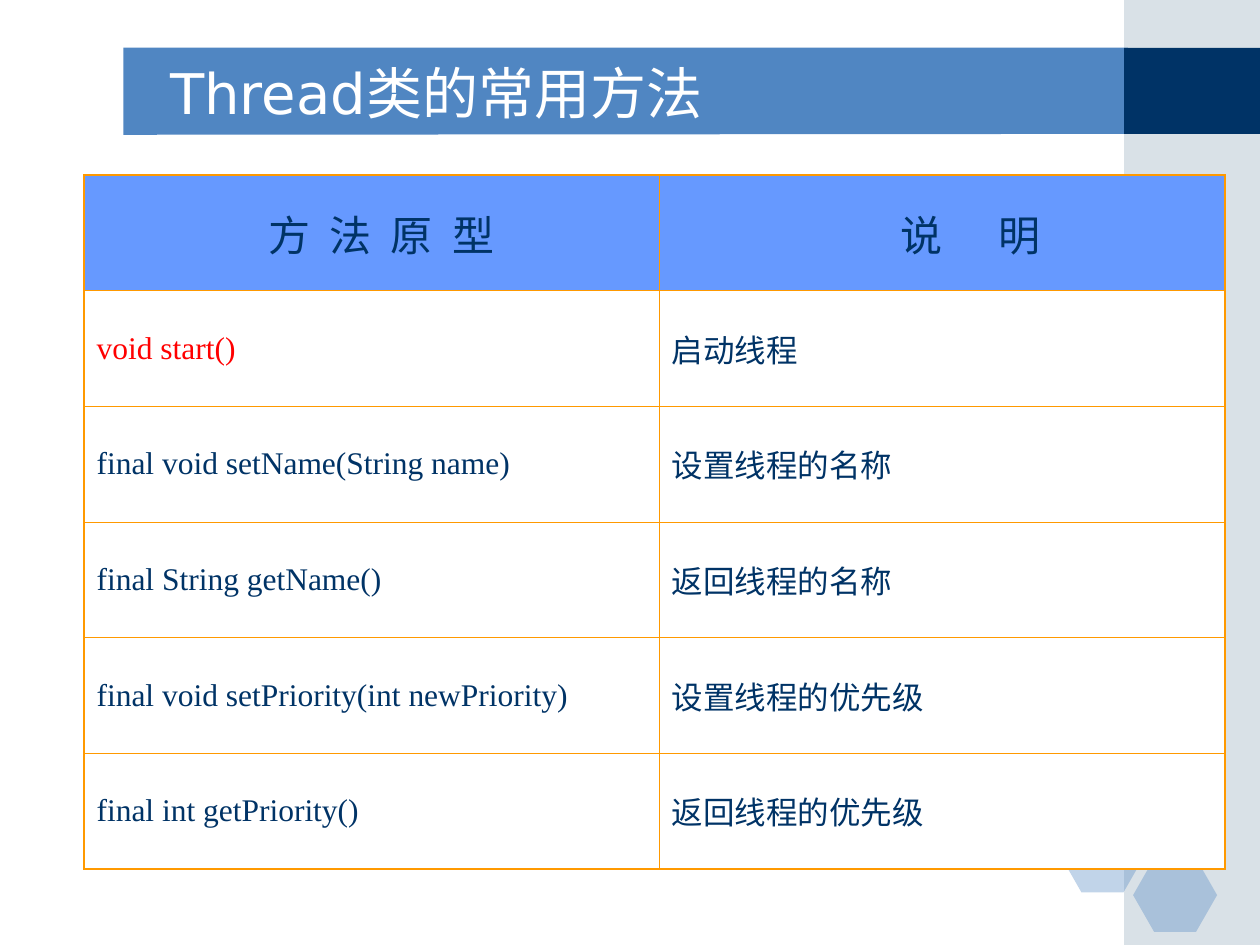
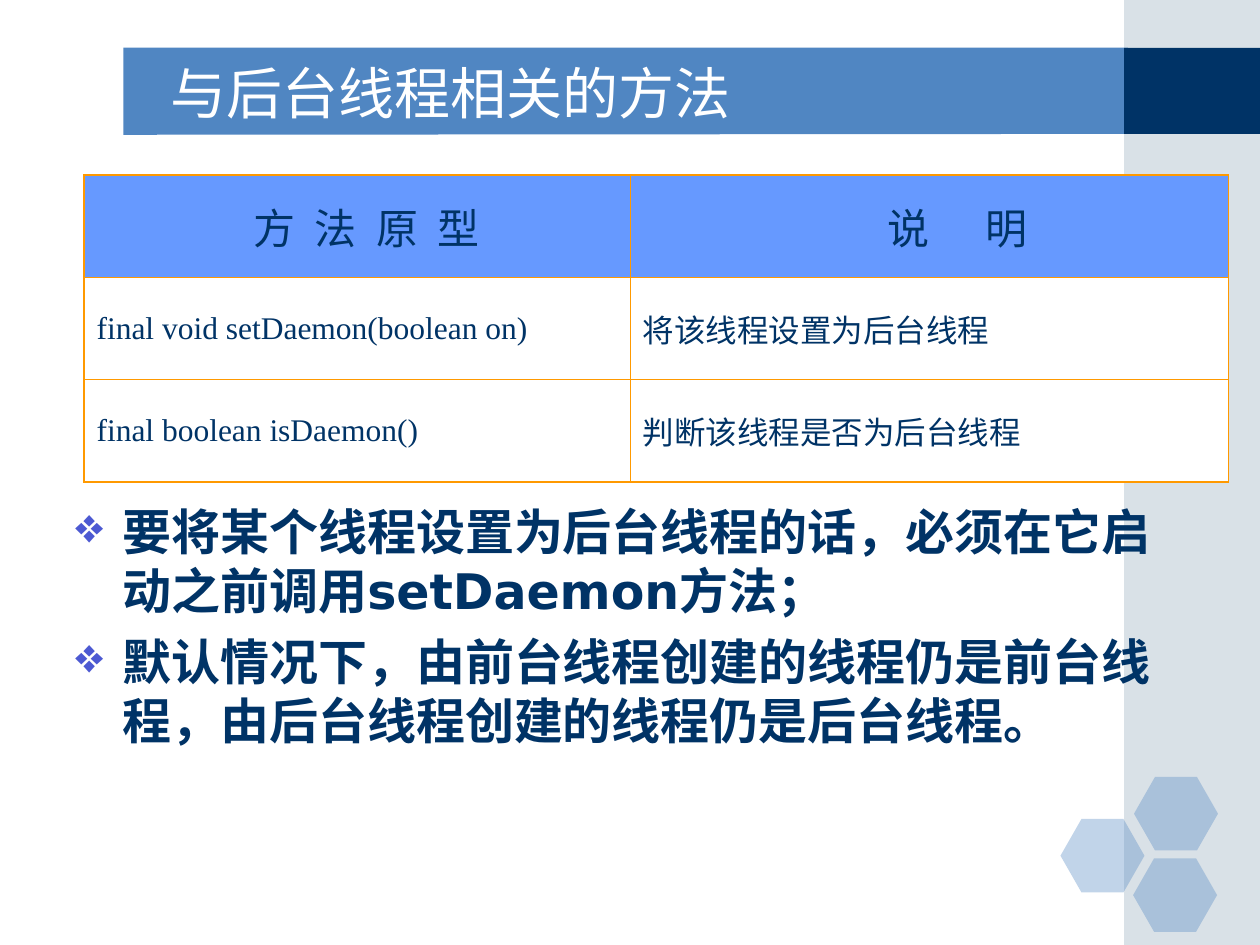
from pptx import Presentation
from pptx.dml.color import RGBColor
from pptx.enum.shapes import MSO_SHAPE
from pptx.enum.text import MSO_ANCHOR, MSO_AUTO_SIZE, PP_ALIGN
from pptx.oxml.ns import qn
from pptx.util import Pt
from lxml import etree

RECT, HEX = MSO_SHAPE.RECTANGLE, MSO_SHAPE.HEXAGON
MIDDLE, FIXED = MSO_ANCHOR.MIDDLE, MSO_AUTO_SIZE.NONE
LEFT, CENTER = PP_ALIGN.LEFT, PP_ALIGN.CENTER

WHITE = RGBColor(0xFF, 0xFF, 0xFF)
NAVY = RGBColor(0x00, 0x33, 0x66)
BLUE = RGBColor(0x50, 0x86, 0xC2)
MIST = RGBColor(0xA0, 0xB5, 0xC4)
HEAD = RGBColor(0x66, 0x99, 0xFF)
ORANGE = RGBColor(0xFF, 0x99, 0x00)
RED = RGBColor(0xFF, 0x00, 0x00)
VIOLET = RGBColor(0x4C, 0x59, 0xD2)

SANS, SERIF = "DejaVu Sans", "Times New Roman"
THICK, THIN = 1.08, 0.45
# Header words, each with the gap between its letters
HEADS = (("方法原型", 11), ("说明", 32))

CALLS = [
    ("void start()", "启动线程"),
    ("final void setName(String name)", "设置线程的名称"),
    ("final String getName()", "返回线程的名称"),
    ("final void setPriority(int newPriority)", "设置线程的优先级"),
    ("final int getPriority()", "返回线程的优先级"),
]
DAEMON = [
    ("final void setDaemon(boolean on)", "将该线程设置为后台线程"),
    ("final boolean isDaemon()", "判断该线程是否为后台线程"),
]
NOTES = [
    "要将某个线程设置为后台线程的话，必须在它启动之前调用setDaemon方法；",
    "默认情况下，由前台线程创建的线程仍是前台线程，由后台线程创建的线程仍是后台线程。",
]


def add_tag(node, tag, **attrs):
    child = etree.SubElement(node, qn(tag))
    for key, val in attrs.items():
        child.set(key, str(val))
    return child


def style(para, size, font, color, bold=False):
    for run in para.runs:
        run.font.size = Pt(size)
        run.font.name = font
        run.font.color.rgb = color
        run.font.bold = bold


# Shared background
def paint(shape, color, alpha=None):
    shape.shadow.inherit = False
    shape.fill.solid()
    shape.fill.fore_color.rgb = color
    shape.line.fill.background()
    if alpha:
        tone = shape.fill._xPr.find(".//" + qn("a:srgbClr"))
        add_tag(tone, "a:alpha", val=alpha * 1000)
    return shape


def add_box(slide, kind, x, y, w, h, color, alpha=None):
    shape = slide.shapes.add_shape(kind, Pt(x), Pt(y), Pt(w), Pt(h))
    return paint(shape, color, alpha)


def dress(layout, slide):
    """Draw the bands and hexagons, then move them into the layout."""
    pen = slide.shapes.build_freeform(Pt(70.5), Pt(27.2), scale=1.0)
    pen.add_line_segments(
        [(Pt(x), Pt(y)) for x, y in ((644.5, 27.2), (644.5, 76.5), (70.5, 77))])
    parts = [
        paint(pen.convert_to_shape(), BLUE),
        add_box(slide, RECT, 642.3, 0, 77.7, 540, MIST, 40),
        add_box(slide, RECT, 642.3, 27.4, 77.7, 49.1, NAVY),
    ]
    for x, y in ((606, 468), (648, 444), (647.5, 490.5)):
        cell = add_box(slide, HEX, x, y, 48, 42, BLUE, 35)
        cell.adjustments[0] = 0.286
        parts.append(cell)
    tree = layout.shapes._spTree
    for rank, part in enumerate(parts):
        node = part._element
        node.nvSpPr.cNvPr.set("id", str(20 + rank))
        tree.insert(2 + rank, node)


# Title
def set_title(slide, text):
    title = slide.shapes.title
    title.left, title.top = Pt(90), Pt(30)
    title.width, title.height = Pt(528), Pt(45)
    frame = title.text_frame
    frame.text = text
    frame.auto_size = FIXED
    frame.vertical_anchor = MIDDLE
    para = frame.paragraphs[0]
    para.alignment = LEFT
    style(para, 32, SANS, WHITE)


# Table
def set_edge(cell, side, width):
    line = add_tag(cell._tc.get_or_add_tcPr(), "a:ln" + side, w=int(Pt(width)))
    fill = add_tag(line, "a:solidFill")
    add_tag(fill, "a:srgbClr", val=ORANGE)


def set_cell(cell, text, size, color, fill, before):
    cell.fill.solid()
    cell.fill.fore_color.rgb = fill
    cell.vertical_anchor = MIDDLE
    para = cell.text_frame.paragraphs[0]
    para.text = text
    para.space_before = Pt(before)
    style(para, size, SERIF, color)
    return para


def add_grid(slide, rows, widths, height, hot=None):
    count = len(rows) + 1
    grid = slide.shapes.add_table(
        count, 2, Pt(48), Pt(100), Pt(sum(widths)), Pt(height * count)).table
    grid.first_row = grid.horz_banding = False
    for col, width in zip(grid.columns, widths):
        col.width = Pt(width)
    for r in range(count):
        grid.rows[r].height = Pt(height)
        for c in range(2):
            cell = grid.cell(r, c)
            outer = {"L": c == 0, "R": c == 1, "T": r == 0, "B": r == count - 1}
            for side, edge in outer.items():
                set_edge(cell, side, THICK if edge else THIN)
            if r:
                text = rows[r - 1][c]
                set_cell(cell, text, 18, RED if text == hot else NAVY, WHITE, 4.5)
                continue
            word, gap = HEADS[c]
            para = set_cell(cell, word, 24, NAVY, HEAD, 6)
            para.alignment = CENTER
            # The indent offsets the gap that trails the last letter
            para._p.get_or_add_pPr().set("marL", str(Pt(gap)))
            para.runs[0].font._element.set("spc", str(gap * 100))


# Bulleted notes
def add_notes(slide, lines):
    box = slide.shapes.add_textbox(Pt(36), Pt(283), Pt(648), Pt(215))
    frame = box.text_frame
    frame.word_wrap = True
    frame.text = "\n".join(lines)
    for para in frame.paragraphs:
        para.space_before = Pt(7)
        style(para, 28, SANS, NAVY, True)
        props = para._p.get_or_add_pPr()
        props.set("marL", str(Pt(27)))
        props.set("indent", str(-Pt(27)))
        add_tag(add_tag(props, "a:buClr"), "a:srgbClr", val=VIOLET)
        add_tag(props, "a:buChar", char="❖")


def main():
    deck = Presentation()
    deck.slide_width, deck.slide_height = Pt(720), Pt(540)
    layout = deck.slide_layouts[5]

    # Common methods
    slide = deck.slides.add_slide(layout)
    dress(layout, slide)
    set_title(slide, "Thread类的常用方法")
    add_grid(slide, CALLS, (328.8, 323.4), 66.1, hot=CALLS[0][0])

    # Daemon methods
    slide = deck.slides.add_slide(layout)
    set_title(slide, "与后台线程相关的方法")
    add_notes(slide, NOTES)
    add_grid(slide, DAEMON, (312, 342), 58.5)

    deck.save("out.pptx")


if __name__ == "__main__":
    main()
